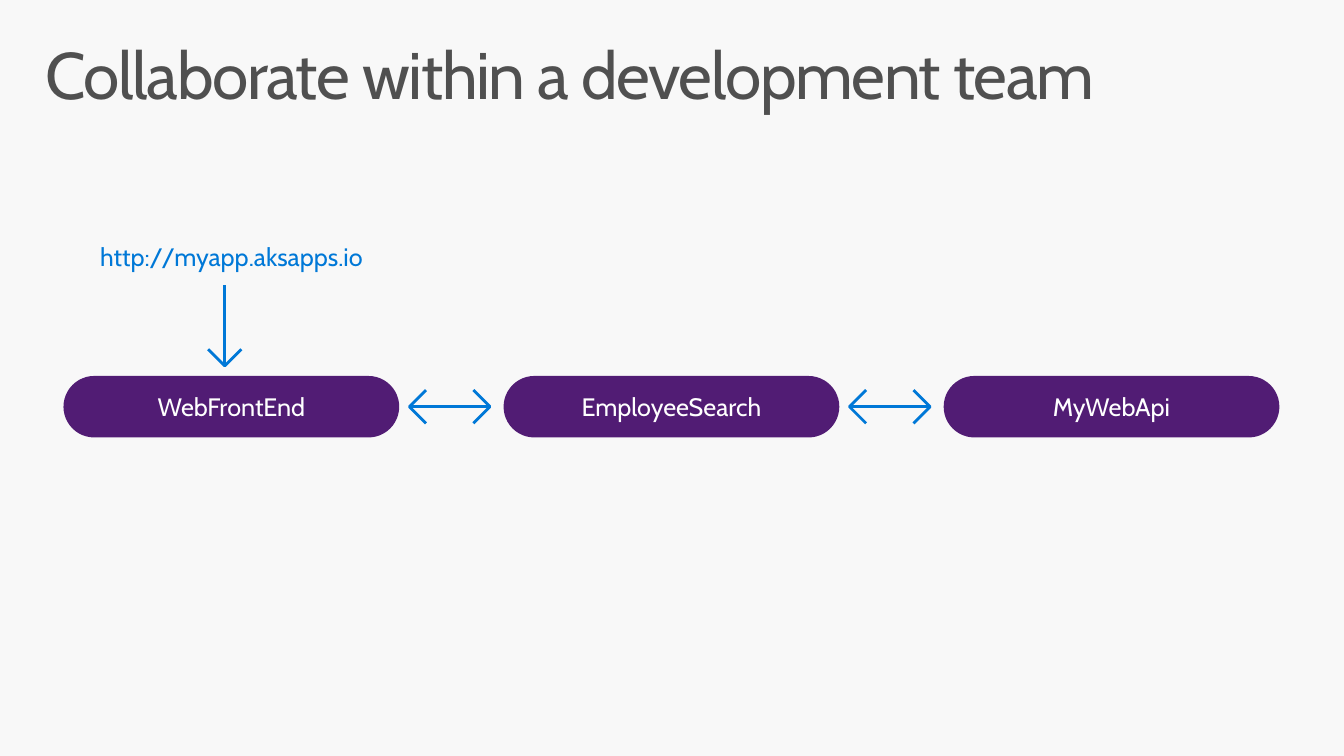
from dataclasses import dataclass

from lxml import etree
from pptx import Presentation
from pptx.dml.color import RGBColor
from pptx.enum.shapes import MSO_CONNECTOR, MSO_SHAPE
from pptx.enum.text import MSO_ANCHOR as Anchor, PP_ALIGN as Align
from pptx.oxml.ns import qn
from pptx.util import Inches, Pt


@dataclass(frozen=True)
class Theme:
    font: str = "Cabin"
    background: RGBColor = RGBColor(0xF8, 0xF8, 0xF8)
    heading: RGBColor = RGBColor(0x50, 0x50, 0x50)
    accent: RGBColor = RGBColor(0x00, 0x78, 0xD7)
    service: RGBColor = RGBColor(0x51, 0x1C, 0x74)
    on_service: RGBColor = RGBColor(0xFF, 0xFF, 0xFF)
    heading_size: int = 47
    label_size: int = 18
    line_width: int = 2


THEME = Theme()
SERVICES = ["WebFrontEnd", "EmployeeSearch", "MyWebApi"]
PILL_WIDTH, PILL_HEIGHT = 3.33, 0.61
ARROW_LENGTH, ARROW_WING = 0.8, 0.165
ARROW_INSET = 0.1


def write(frame, text, size, color, align, **frame_format):
    """Fill a text frame with one styled line and return its run."""
    for key, value in {"word_wrap": True, **frame_format}.items():
        setattr(frame, key, value)
    paragraph = frame.paragraphs[0]
    paragraph.alignment = align
    run = paragraph.add_run()
    run.text = text
    for key, value in {"name": THEME.font, "size": Pt(size)}.items():
        setattr(run.font, key, value)
    run.font.color.rgb = color
    return run


def style_line(line):
    line.color.rgb = THEME.accent
    line.width = Pt(THEME.line_width)


def add_title(slide, text, left, top, width, height):
    title = slide.shapes.add_textbox(*map(Inches, (left, top, width, height)))
    run = write(title.text_frame, text, THEME.heading_size, THEME.heading, Align.LEFT,
                margin_left=Inches(0.16), margin_right=Inches(0.16),
                margin_top=Inches(0.1), margin_bottom=Inches(0.1))
    title.text_frame.paragraphs[0].line_spacing = 0.9
    run.font._element.set("spc", "-100")  # tighter letters


def add_chevron(slide, x, y, dx, dy):
    """Open arrowhead with its tip at (x, y), pointing along (dx, dy)."""
    back_x, back_y = x - ARROW_WING * dx, y - ARROW_WING * dy
    points = [(back_x - ARROW_WING * dy, back_y + ARROW_WING * dx),
              (x, y),
              (back_x + ARROW_WING * dy, back_y - ARROW_WING * dx)]
    start, *rest = [(Inches(px), Inches(py)) for px, py in points]
    builder = slide.shapes.build_freeform(*start)
    builder.add_line_segments(rest, close=False)
    chevron = builder.convert_to_shape()
    chevron.shadow.inherit = False
    chevron.fill.background()
    style_line(chevron.line)


def add_arrow(slide, x, y, dx, dy, both_ends=False):
    """Arrow that starts at (x, y) and runs along (dx, dy)."""
    end_x, end_y = x + ARROW_LENGTH * dx, y + ARROW_LENGTH * dy
    shaft = slide.shapes.add_connector(
        MSO_CONNECTOR.STRAIGHT, *map(Inches, (x, y, end_x, end_y)))
    style_line(shaft.line)
    etree.SubElement(shaft._element.spPr, qn("a:effectLst"))
    add_chevron(slide, end_x, end_y, dx, dy)
    if both_ends:
        add_chevron(slide, x, y, -dx, -dy)


def add_entry(slide, url, left, top, width, height):
    """Public address with an arrow down to the first service."""
    address = slide.shapes.add_textbox(*map(Inches, (left, top, width, 0.4)))
    write(address.text_frame, url, THEME.label_size, THEME.accent, Align.CENTER)
    add_arrow(slide, left + 1.48, top + height - ARROW_LENGTH, 0, 1)


def add_services(slide, names, left, top, width):
    """Row of equally spaced services joined by two-way arrows."""
    gap = (width - len(names) * PILL_WIDTH) / (len(names) - 1)
    for index, name in enumerate(names):
        x = left + index * (PILL_WIDTH + gap)
        pill = slide.shapes.add_shape(
            MSO_SHAPE.ROUNDED_RECTANGLE, *map(Inches, (x, top, PILL_WIDTH, PILL_HEIGHT)))
        pill.adjustments[0] = 0.5
        pill.shadow.inherit = False
        pill.fill.solid()
        pill.fill.fore_color.rgb = THEME.service
        pill.line.fill.background()
        write(pill.text_frame, name, THEME.label_size, THEME.on_service,
              Align.CENTER, vertical_anchor=Anchor.MIDDLE)
        if index < len(names) - 1:
            add_arrow(slide, x + PILL_WIDTH + ARROW_INSET, top + PILL_HEIGHT / 2,
                      1, 0, both_ends=True)


def main():
    deck = Presentation()
    deck.slide_width, deck.slide_height = Inches(13.33), Inches(7.5)
    slide = deck.slides.add_slide(deck.slide_layouts[6])
    slide.background.fill.solid()
    slide.background.fill.fore_color.rgb = THEME.background

    add_title(slide, "Collaborate within a development team", 0.29, 0.32, 12.75, 0.98)
    add_entry(slide, "http://myapp.aksapps.io", 0.75, 2.34, 3.09, 1.29)
    add_services(slide, SERVICES, 0.63, 3.73, 12.06)
    deck.save("out.pptx")


if __name__ == "__main__":
    main()
